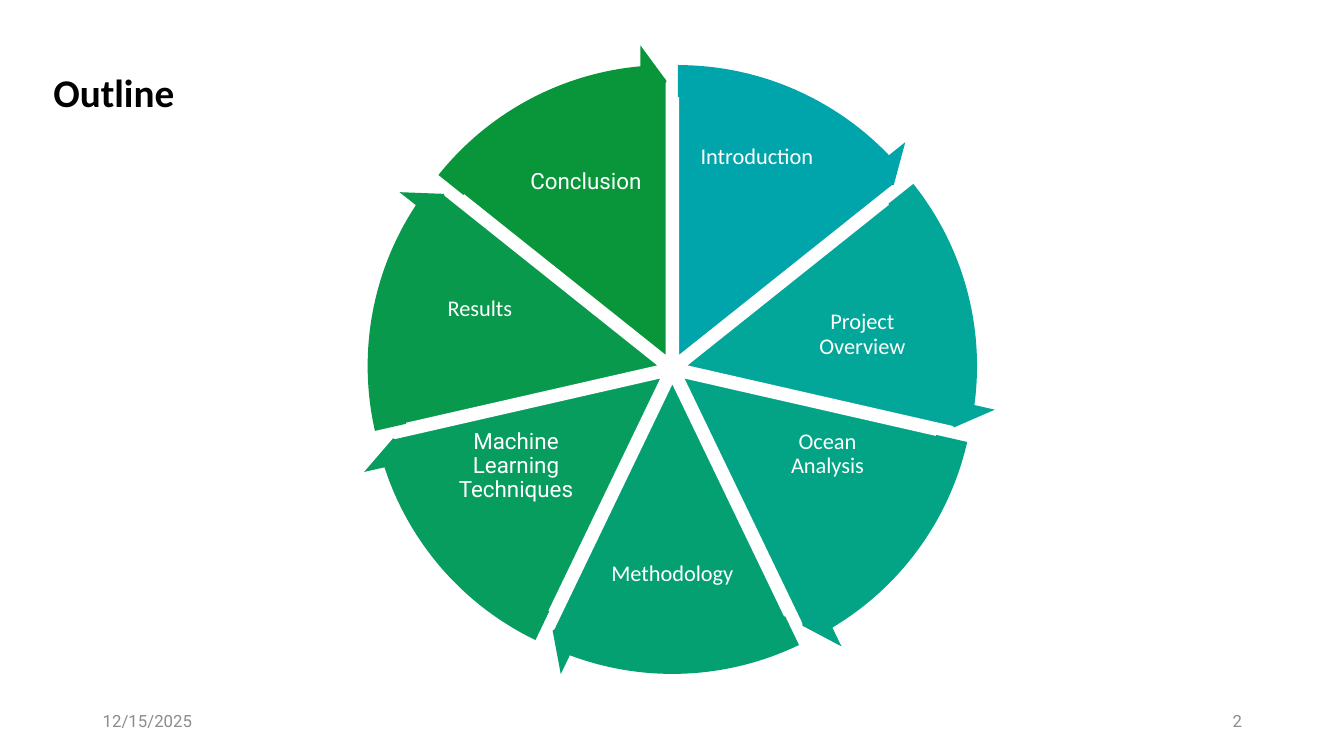
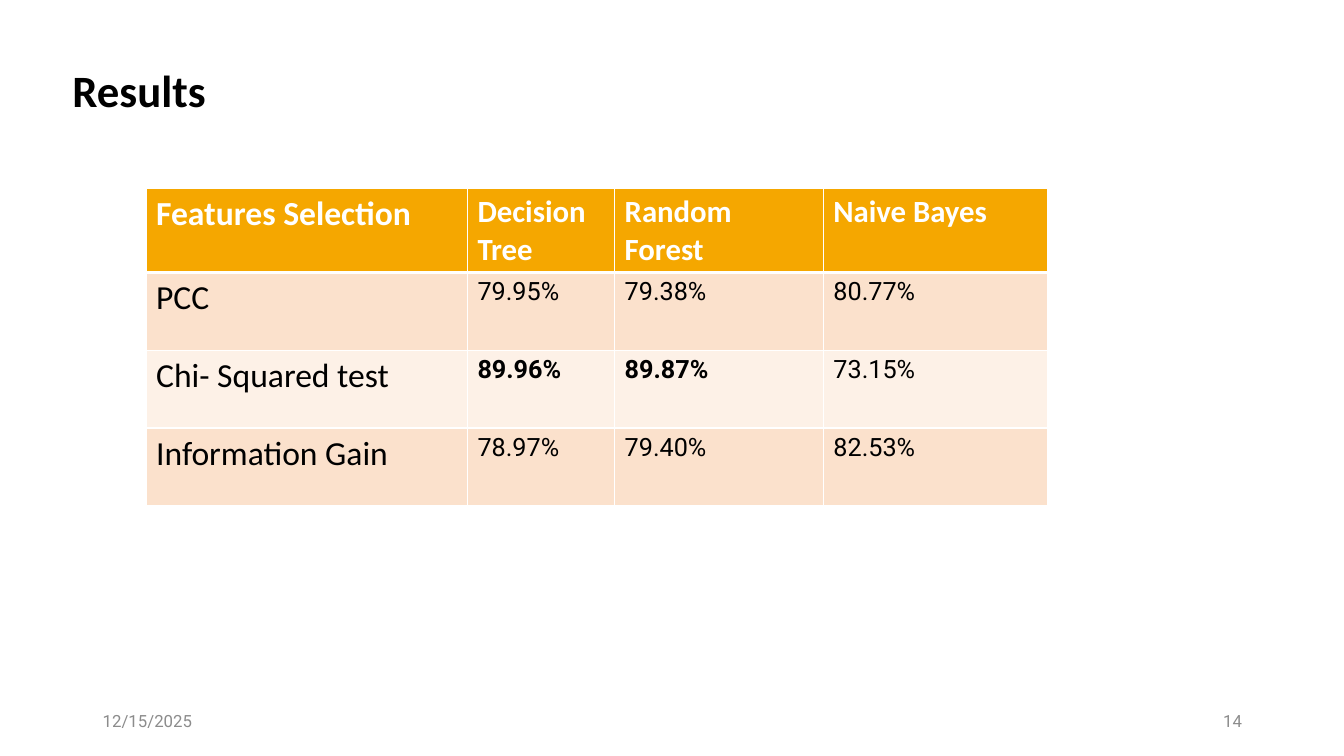
from math import cos, radians, sin

from lxml import etree
from pptx import Presentation
from pptx.dml.color import RGBColor
from pptx.enum.shapes import MSO_SHAPE
from pptx.enum.text import MSO_ANCHOR, MSO_AUTO_SIZE, PP_ALIGN
from pptx.oxml.ns import qn
from pptx.util import Cm, Pt

PIE, ARROW = MSO_SHAPE.PIE, MSO_SHAPE.CIRCULAR_ARROW
LEFT, CENTER, RIGHT = PP_ALIGN.LEFT, PP_ALIGN.CENTER, PP_ALIGN.RIGHT
TOP, MIDDLE = MSO_ANCHOR.TOP, MSO_ANCHOR.MIDDLE
NO_AUTOFIT = MSO_AUTO_SIZE.NONE

HEADING_FONT, NUMBER_FONT = "Calibri", "Roboto"
BLACK, WHITE, GREY = "000000", "FFFFFF", "8C8C8C"
HEADER_FILL, BAND_FILLS = "F5A700", ("FBE1CC", "FDF1E7")
TITLE_ONLY_LAYOUT = 5
DATE = "12/15/2025"

# Angles of shape adjustments: 0.6 units make one degree.
UNITS_PER_DEGREE = 0.6
ARROW_SWEEP = 27.58
SLICE_SHIFT = 0.33
LABEL_WIDTH, LABEL_HEIGHT = 3.35, 2.5

# Label, font, fill, and label offset from the wheel's centre in cm.
SLICES = [
    ("Introduction", HEADING_FONT, "00A5AB", 2.13, -5.33),
    ("Project Overview", HEADING_FONT, "02A79A", 4.79, -0.86),
    ("Ocean Analysis", HEADING_FONT, "03A485", 3.91, 2.16),
    ("Methodology", HEADING_FONT, "05A071", 0, 5.18),
    ("Machine Learning Techniques", NUMBER_FONT, "069D5E", -3.94, 2.46),
    ("Results", HEADING_FONT, "08994C", -4.85, -1.49),
    ("Conclusion", NUMBER_FONT, "09963B", -2.18, -4.7),
]

COLUMN_WIDTHS = (8.1, 3.71, 5.26, 5.64)
ROW_HEIGHT = 1.96
RESULTS = [
    ("Features Selection", "Decision Tree", "Random Forest", "Naive Bayes"),
    ("PCC", "79.95%", "79.38%", "80.77%"),
    ("Chi- Squared test", "89.96%", "89.87%", "73.15%"),
    ("Information Gain", "78.97%", "79.40%", "82.53%"),
]
BEST_RESULTS = {"89.96%", "89.87%"}


def rgb(value):
    return RGBColor.from_string(value)


def style_paragraph(paragraph, size, font, color, bold=False, align=LEFT):
    paragraph.alignment = align
    paragraph.font.size = Pt(size)
    paragraph.font.name = font
    paragraph.font.bold = bold
    paragraph.font.color.rgb = rgb(color)


def add_text(shapes, text, left, top, width, height, size, font, color, align):
    box = shapes.add_textbox(Cm(left), Cm(top), Cm(width), Cm(height))
    frame = box.text_frame
    frame.word_wrap = True
    frame.vertical_anchor = MIDDLE
    frame.text = text
    style_paragraph(frame.paragraphs[0], size, font, color, align=align)
    return frame


def add_slide(presentation, title, number, left, top, width, height, size):
    """Add a slide with the title in the given box, the date and the number."""
    slide = presentation.slides.add_slide(
        presentation.slide_layouts[TITLE_ONLY_LAYOUT])
    shape = slide.shapes.title
    shape.left, shape.top = Cm(left), Cm(top)
    shape.width, shape.height = Cm(width), Cm(height)
    frame = shape.text_frame
    frame.text = title
    frame.auto_size = NO_AUTOFIT
    frame.vertical_anchor = TOP
    style_paragraph(frame.paragraphs[0], size, HEADING_FONT, BLACK, bold=True)
    for text, footer_left, align in ((DATE, 2.34, LEFT), (number, 23.93, RIGHT)):
        add_text(slide.shapes, text, footer_left, 17.65, 7.62, 1.02,
                 12, NUMBER_FONT, GREY, align)
    return slide


def add_round_shape(shapes, kind, center, diameter, color, adjustments):
    left, top = (Cm(position - diameter / 2) for position in center)
    shape = shapes.add_shape(kind, left, top, Cm(diameter), Cm(diameter))
    for index, value in enumerate(adjustments):
        shape.adjustments[index] = value
    shape.shadow.inherit = False
    shape.fill.solid()
    shape.fill.fore_color.rgb = rgb(color)
    shape.line.fill.background()
    return shape


def add_label(shapes, text, font, center_x, center_y):
    frame = add_text(shapes, text, center_x - LABEL_WIDTH / 2,
                     center_y - LABEL_HEIGHT / 2, LABEL_WIDTH, LABEL_HEIGHT,
                     16, font, WHITE, CENTER)
    frame.margin_left = frame.margin_right = Cm(0.05)
    frame.margin_top = frame.margin_bottom = Cm(0.05)
    frame.paragraphs[0].line_spacing = 0.9


def add_cycle_wheel(slide, left, top, diameter):
    """Draw slices clockwise from the top, then an arrow along each rim."""
    shapes = slide.shapes.add_group_shape().shapes
    middle_x, middle_y = left + diameter / 2, top + diameter / 2
    step = 360 / len(SLICES)
    arrows = []
    for index, (text, font, color, label_x, label_y) in enumerate(SLICES):
        start = (270 + index * step) % 360
        bisector = radians(start + step / 2)
        center = (middle_x + SLICE_SHIFT * cos(bisector),
                  middle_y + SLICE_SHIFT * sin(bisector))
        start_units = start * UNITS_PER_DEGREE
        end_units = (start + step) % 360 * UNITS_PER_DEGREE
        pie = add_round_shape(shapes, PIE, center, diameter * 0.89, color,
                              (start_units, end_units))
        pie.line.color.rgb = rgb(WHITE)
        pie.line.width = Pt(1.5)
        add_label(shapes, text, font, middle_x + label_x, middle_y + label_y)
        tip_units = (start_units + ARROW_SWEEP) % (360 * UNITS_PER_DEGREE)
        arrows.append((center, color,
                       (0.051, 3.275, tip_units, start_units, 0.059)))
    for center, color, adjustments in arrows:
        add_round_shape(shapes, ARROW, center, diameter, color, adjustments)


def set_borders(cell, top_width, bottom_width):
    properties = cell._tc.get_or_add_tcPr()
    widths = {"a:lnL": 1, "a:lnR": 1, "a:lnT": top_width, "a:lnB": bottom_width}
    for tag, width in widths.items():
        line = etree.SubElement(properties, qn(tag), w=str(Pt(width)))
        fill = etree.SubElement(line, qn("a:solidFill"))
        etree.SubElement(fill, qn("a:srgbClr"), val=WHITE)


def add_results_table(slide, left, top):
    table = slide.shapes.add_table(
        len(RESULTS), len(COLUMN_WIDTHS), Cm(left), Cm(top),
        Cm(sum(COLUMN_WIDTHS)), Cm(ROW_HEIGHT * len(RESULTS))).table
    for column, width in zip(table.columns, COLUMN_WIDTHS):
        column.width = Cm(width)
    for row_index, values in enumerate(RESULTS):
        table.rows[row_index].height = Cm(ROW_HEIGHT)
        is_header = row_index == 0
        fill = HEADER_FILL if is_header else BAND_FILLS[(row_index - 1) % 2]
        for column_index, text in enumerate(values):
            is_name = column_index == 0
            cell = table.cell(row_index, column_index)
            cell.text = text
            set_borders(cell, 3 if row_index == 1 else 1, 3 if is_header else 1)
            cell.fill.solid()
            cell.fill.fore_color.rgb = rgb(fill)
            size = 24 if is_name else 22 if is_header else 18
            font = HEADING_FONT if is_name or is_header else NUMBER_FONT
            style_paragraph(cell.text_frame.paragraphs[0], size, font,
                            WHITE if is_header else BLACK,
                            bold=is_header or text in BEST_RESULTS)


def main():
    presentation = Presentation()
    presentation.slide_width, presentation.slide_height = Cm(33.87), Cm(19.05)
    outline = add_slide(presentation, "Outline", "2", 1.09, 1.6, 8.18, 1.45, 28)
    add_cycle_wheel(outline, 9.06, 1.41, 15.77)
    results = add_slide(presentation, "Results", "14", 1.57, 1.45, 13.46, 1.63, 32)
    add_results_table(results, 3.68, 4.75)
    presentation.save("out.pptx")


if __name__ == "__main__":
    main()
